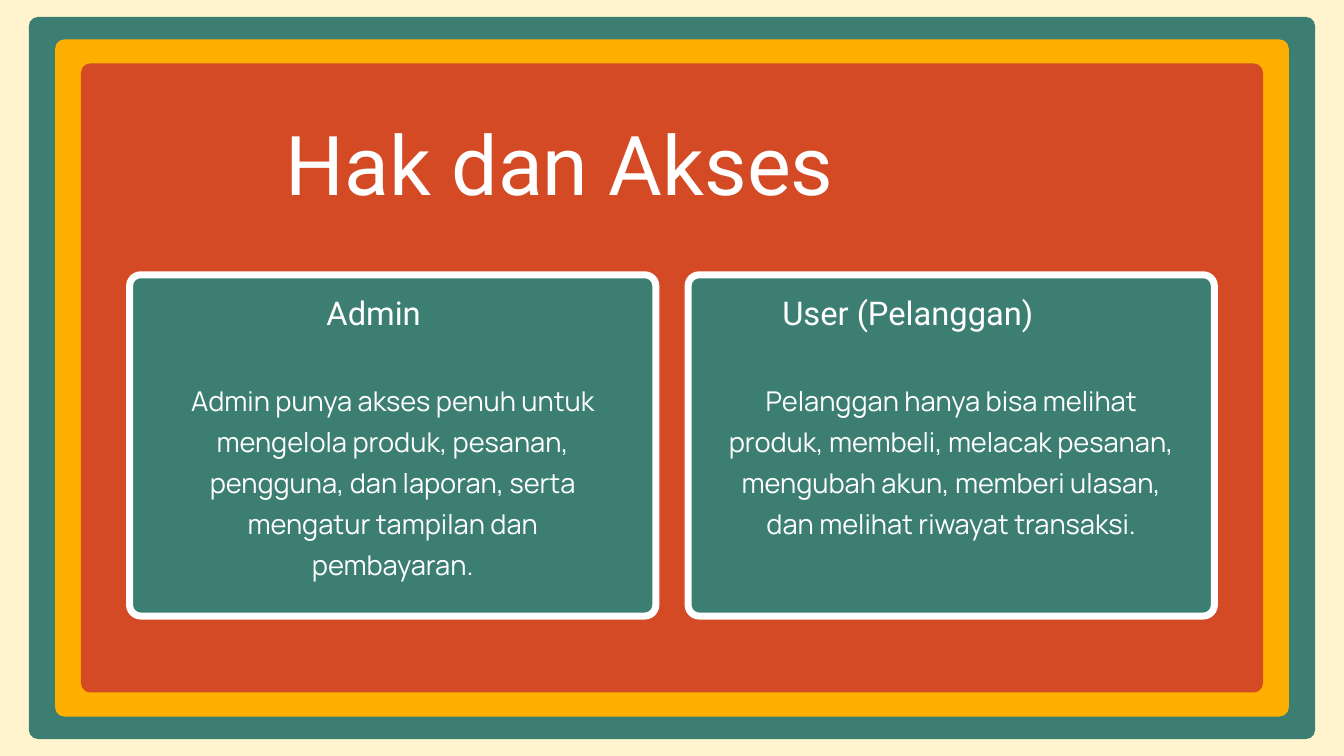
from pptx import Presentation
from pptx import util as u
from pptx.dml.color import RGBColor
from pptx.enum import shapes, text

CREAM = RGBColor(0xFF, 0xF4, 0xCD)
GREEN = RGBColor(0x3C, 0x7F, 0x72)
AMBER = RGBColor(0xFF, 0xAF, 0x00)
RED = RGBColor(0xD3, 0x4A, 0x24)
WHITE = RGBColor(0xFF, 0xFF, 0xFF)

WIDTH, HEIGHT = 50.8, 28.58


def add_panel(left, top, width, height, fill, radius, border=None):
    """Add a rounded panel; lengths in centimetres."""
    panel = page.shapes.add_shape(
        shapes.MSO_SHAPE.ROUNDED_RECTANGLE,
        u.Cm(left), u.Cm(top), u.Cm(width), u.Cm(height))
    panel.adjustments[0] = radius / min(width, height)
    panel.shadow.inherit = False
    panel.fill.solid()
    panel.fill.fore_color.rgb = fill
    if border:
        panel.line.color.rgb = border
        panel.line.width = u.Pt(7.5)
    else:
        panel.line.fill.background()


def write(words, left, top, width, height, size, spacing, font="Roboto",
          align=text.PP_ALIGN.LEFT, box=None):
    """Write white text in the given box, or in a new text box."""
    if box is None:
        box = page.shapes.add_textbox(0, 0, 0, 0)
    box.left, box.top = u.Cm(left), u.Cm(top)
    box.width, box.height = u.Cm(width), u.Cm(height)
    frame = box.text_frame
    frame.margin_left = frame.margin_right = 0
    frame.margin_top = frame.margin_bottom = 0
    frame.word_wrap = True
    frame.auto_size = text.MSO_AUTO_SIZE.SHAPE_TO_FIT_TEXT
    frame.vertical_anchor = text.MSO_ANCHOR.TOP
    para = frame.paragraphs[0]
    para.alignment = align
    para.line_spacing = u.Pt(spacing)
    span = para.add_run()
    span.text = words
    span.font.name = font
    span.font.size = u.Pt(size)
    span.font.color.rgb = WHITE


deck = Presentation()
deck.slide_width, deck.slide_height = u.Cm(WIDTH), u.Cm(HEIGHT)
page = deck.slides.add_slide(deck.slide_layouts[5])
page.background.fill.solid()
page.background.fill.fore_color.rgb = CREAM

# Nested frames, each centred on the page
for width, height, fill in [(48.62, 27.3, GREEN),
                            (46.63, 25.6, AMBER),
                            (44.68, 23.78, RED)]:
    add_panel((WIDTH - width) / 2, (HEIGHT - height) / 2, width, height,
              fill, radius=0.35)

# Title, brought in front of the frames
title = page.shapes.title
title.element.getparent().append(title.element)
write("Hak dan Akses", 10.8, 3.63, 29.21, 4.11, size=88.4, spacing=123.8,
      box=title)

# One card per role
CARD_WIDTH, BODY_WIDTH = 19.89, 17.25
roles = [
    (4.9, "Admin", 12.34, 4.98,
     "Admin punya akses penuh untuk mengelola produk, pesanan, pengguna, "
     "dan laporan, serta mengatur tampilan dan pembayaran."),
    (26.01, "User (Pelanggan)", 29.57, 12.8,
     "Pelanggan hanya bisa melihat produk, membeli, melacak pesanan, "
     "mengubah akun, memberi ulasan, dan melihat riwayat transaksi."),
]
for left, role, role_left, role_width, rights in roles:
    add_panel(left, 10.39, CARD_WIDTH, 12.9, GREEN, radius=0.42, border=WHITE)
    write(role, role_left, 10.82, role_width, 1.96, size=35, spacing=49)
    write(rights, left + (CARD_WIDTH - BODY_WIDTH) / 2, 14.22, BODY_WIDTH, 7.62,
          size=29.2, spacing=43.8, font="Manrope", align=text.PP_ALIGN.CENTER)

deck.save("out.pptx")
